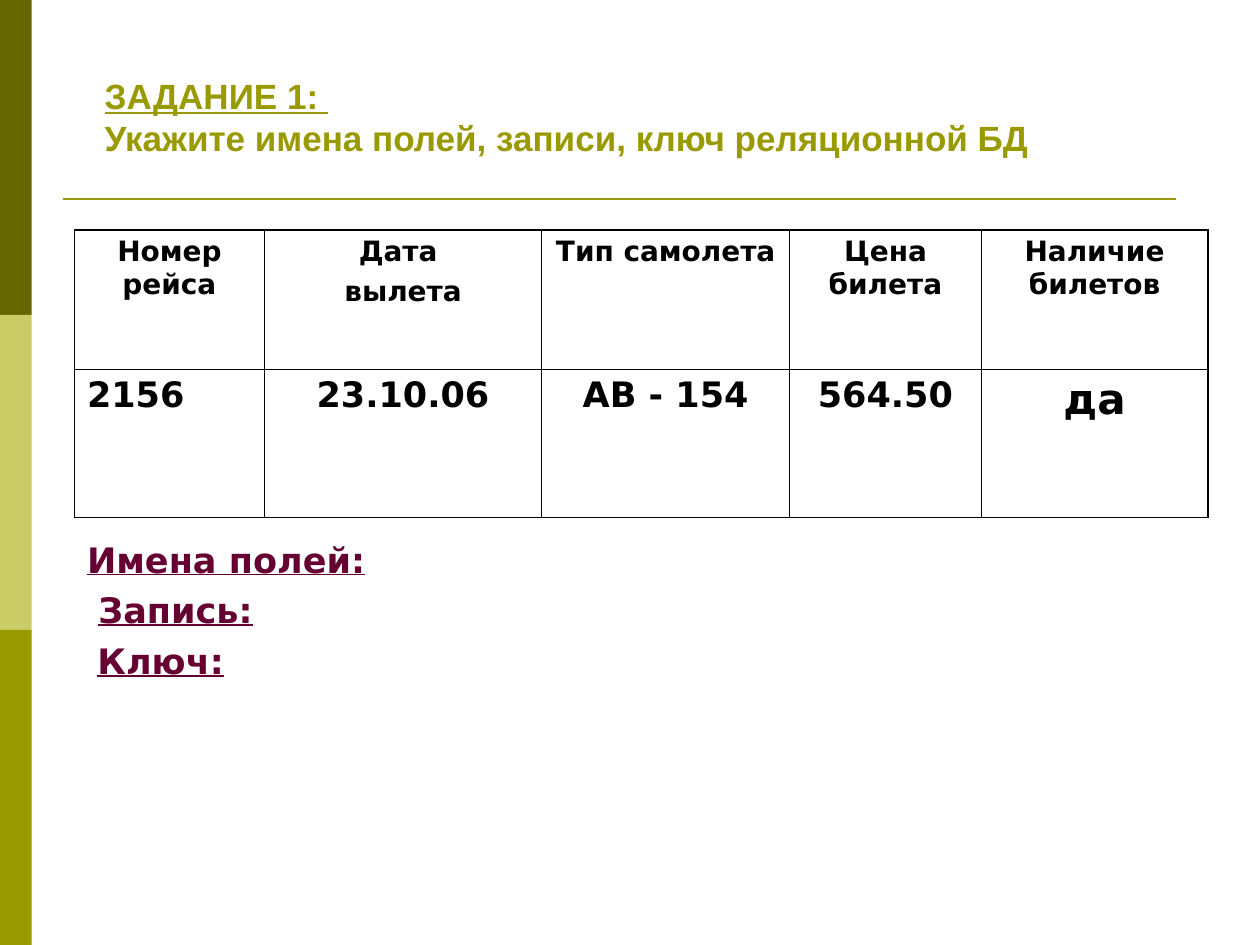
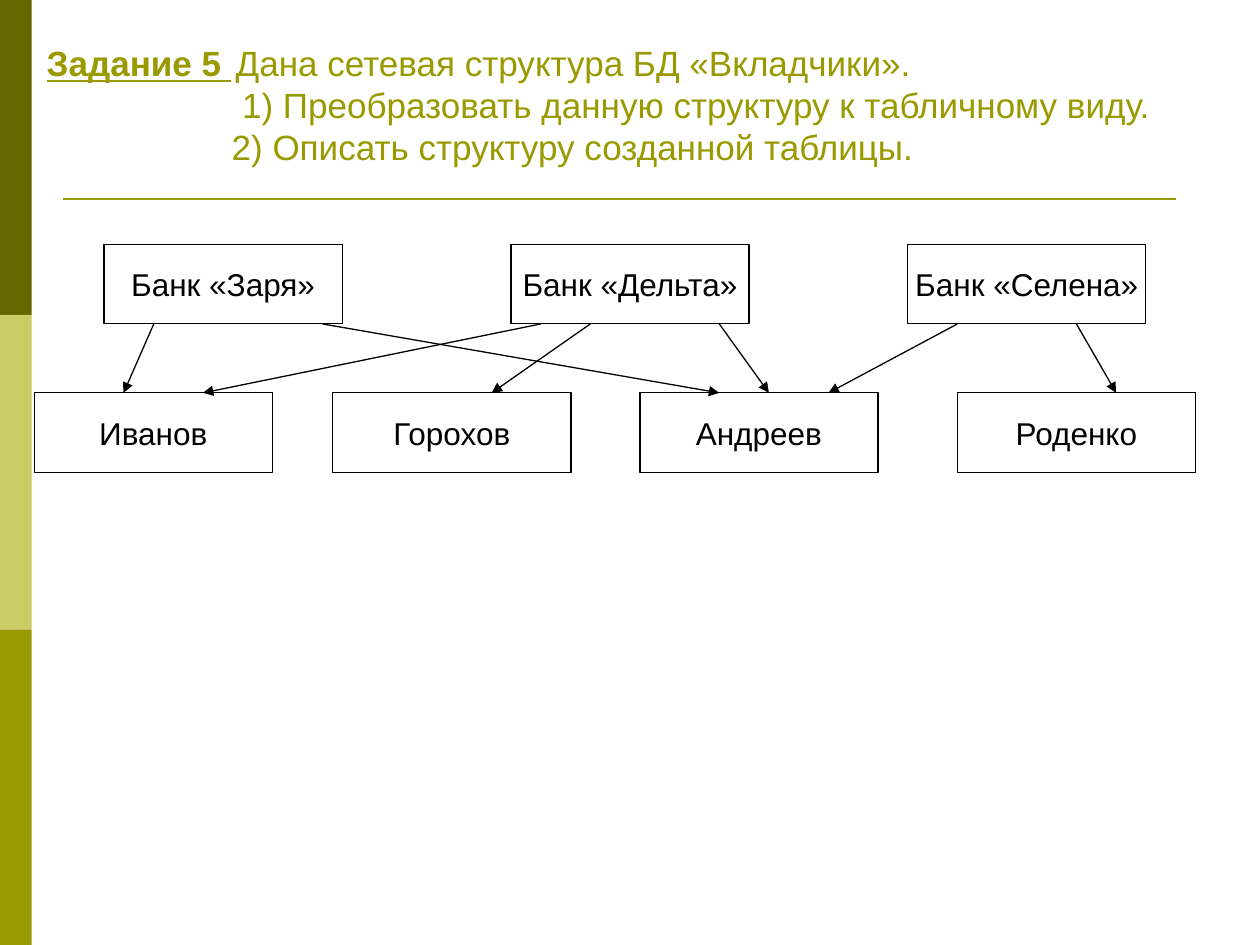
from lxml.etree import SubElement
from pptx import Presentation
from pptx.dml.color import RGBColor
from pptx.enum.shapes import MSO_CONNECTOR as Connector, MSO_SHAPE as Preset
from pptx.enum.text import MSO_ANCHOR as Anchor, MSO_AUTO_SIZE as AutoSize, PP_ALIGN as Align
from pptx.oxml.ns import qn
from pptx.util import Cm, Pt

DARK_OLIVE = RGBColor(0x66, 0x66, 0x00)
PALE_OLIVE = RGBColor(0xCC, 0xCC, 0x66)
OLIVE = RGBColor(0x99, 0x99, 0x00)
PLUM = RGBColor(0x66, 0x00, 0x33)
BLACK = RGBColor(0, 0, 0)
WHITE = RGBColor(255, 255, 255)
TITLE_FONT = "Arial"
BODY_FONT = "DejaVu Sans"

BAND_COLORS = [DARK_OLIVE, PALE_OLIVE, OLIVE]
BAND_WIDTH, BAND_HEIGHT = 0.64, 6.35

FIELDS_TITLE = [
    ("ЗАДАНИЕ 1: ", "", 0),
    ("", "Укажите имена полей, записи, ключ реляционной БД", 0),
]
NETWORK_TITLE = [
    ("Задание 5 ", "\tДана сетевая структура БД «Вкладчики».", 0),
    ("", "1) Преобразовать данную структуру к табличному виду.", 3.94),
    ("", "2) Описать структуру созданной таблицы.", 3.73),
]
TITLE_TAB = 4.31

FLIGHTS = [
    ["Номер рейса", "Дата \nвылета", "Тип самолета", "Цена билета", "Наличие билетов"],
    ["2156", "23.10.06", "АВ - 154", "564.50", "да"],
]
TEXT_SIZES = [[16] * 5, [20, 20, 20, 20, 24]]
COLUMN_WIDTHS = [3.83, 5.59, 5.0, 3.86, 4.57]
ROW_HEIGHTS = [2.81, 2.99]
QUESTIONS = [("Имена полей:", 0), ("Запись:", 0.23), ("Ключ:", 0.21)]

BOX_WIDTH, BOX_HEIGHT = 4.8, 1.6
BANK_TOP, CLIENT_TOP = 4.93, 7.92
BANKS = {"Банк «Заря»": 2.1, "Банк «Дельта»": 10.3, "Банк «Селена»": 18.3}
CLIENTS = {"Иванов": 0.69, "Горохов": 6.71, "Андреев": 12.9, "Роденко": 19.3}
DEPOSITS = [
    ("Банк «Заря»", 1.0, "Иванов", 1.8),
    ("Банк «Заря»", 4.4, "Андреев", 1.6),
    ("Банк «Дельта»", 0.6, "Иванов", 3.4),
    ("Банк «Дельта»", 1.6, "Горохов", 3.2),
    ("Банк «Дельта»", 4.2, "Андреев", 2.6),
    ("Банк «Селена»", 1.0, "Андреев", 3.8),
    ("Банк «Селена»", 3.4, "Роденко", 3.2),
]


def format_font(font, name, size, color, bold=False, underline=False):
    font.name = name
    font.size = Pt(size)
    font.color.rgb = color
    font.bold = bold
    font.underline = underline


def place(shape, left, top, width, height):
    shape.left, shape.top = Cm(left), Cm(top)
    shape.width, shape.height = Cm(width), Cm(height)


def add_box(page, left, top, width, height, fill):
    box = page.shapes.add_shape(Preset.RECTANGLE, Cm(left), Cm(top), Cm(width), Cm(height))
    box.shadow.inherit = False
    box.fill.solid()
    box.fill.fore_color.rgb = fill
    box.line.fill.background()
    return box


def add_line(page, start, end, color, weight):
    line = page.shapes.add_connector(Connector.STRAIGHT, *map(Cm, start + end))
    line.line.color.rgb = color
    line.line.width = Pt(weight)
    SubElement(line.element.spPr, qn("a:effectLst"))
    return line


def decorate_master(deck, page):
    parts = [
        add_box(page, 0, row * BAND_HEIGHT, BAND_WIDTH, BAND_HEIGHT, color)
        for row, color in enumerate(BAND_COLORS)
    ]
    parts.append(add_line(page, (1.27, 4.01), (23.7, 4.01), OLIVE, 1.5))
    for number, part in enumerate(parts, 101):
        part.element.xpath(".//p:cNvPr")[0].set("id", str(number))
        deck.slide_master.shapes.element.append(part.element)


def fill_title(page, lines, area, anchor, bold, margin=0.25):
    title = page.shapes.title
    place(title, *area)
    frame = title.text_frame
    frame.auto_size = AutoSize.NONE
    frame.vertical_anchor = anchor
    frame.margin_left = Cm(margin)
    frame.text = "\n".join(heading for heading, _, _ in lines)
    for para, (_, rest, indent) in zip(frame.paragraphs, lines):
        para.alignment = Align.LEFT
        props = para._p.get_or_add_pPr()
        props.set("marL", str(Cm(indent)))
        props.set("indent", "0")
        if "\t" in rest:
            tabs = SubElement(props, qn("a:tabLst"))
            SubElement(tabs, qn("a:tab"), pos=str(Cm(TITLE_TAB)), algn="l")
        for span in para.runs:
            format_font(span.font, TITLE_FONT, 20, OLIVE, True, True)
        if rest:
            span = para.add_run()
            span.text = rest
            format_font(span.font, TITLE_FONT, 20, OLIVE, bold)


def set_borders(cell, widths):
    props = cell._tc.get_or_add_tcPr()
    for position, (side, width) in enumerate(widths.items()):
        line = props.makeelement(qn("a:" + side), {"w": str(Pt(width))})
        fill = SubElement(line, qn("a:solidFill"))
        SubElement(fill, qn("a:srgbClr"), val=str(BLACK))
        props.insert(position, line)


def add_flights(page):
    rows, columns = len(ROW_HEIGHTS), len(COLUMN_WIDTHS)
    table = page.shapes.add_table(
        rows, columns, Cm(1.5), Cm(4.63), Cm(sum(COLUMN_WIDTHS)), Cm(sum(ROW_HEIGHTS))
    ).table
    table.first_row = table.horz_banding = False
    for column, width in zip(table.columns, COLUMN_WIDTHS):
        column.width = Cm(width)
    for r, height in enumerate(ROW_HEIGHTS):
        table.rows[r].height = Cm(height)
        for c in range(columns):
            cell = table.cell(r, c)
            cell.fill.solid()
            cell.fill.fore_color.rgb = WHITE
            outer = {"lnL": c == 0, "lnR": c == columns - 1, "lnT": r == 0, "lnB": r == rows - 1}
            set_borders(cell, {side: 1.08 if edge else 0.45 for side, edge in outer.items()})
            size = TEXT_SIZES[r][c]
            cell.text_frame.text = FLIGHTS[r][c]
            for para in cell.text_frame.paragraphs:
                para.alignment = Align.LEFT if (r, c) == (1, 0) else Align.CENTER
                para.space_before = Pt(size / 4)
                for span in para.runs:
                    format_font(span.font, BODY_FONT, size, BLACK, True)


def fill_questions(page):
    body = page.placeholders[1]
    place(body, 1.5, 10.72, 25.4, 7.57)
    frame = body.text_frame
    frame.auto_size = AutoSize.NONE
    frame.text = "\n".join(question for question, _ in QUESTIONS)
    for para, (_, indent) in zip(frame.paragraphs, QUESTIONS):
        para.space_before = Pt(5)
        props = para._p.get_or_add_pPr()
        props.set("marL", str(Cm(indent)))
        props.set("indent", "0")
        SubElement(props, qn("a:buNone"))
        format_font(para.runs[0].font, BODY_FONT, 20, PLUM, True, True)


def add_node(page, name, left, top):
    box = add_box(page, left, top, BOX_WIDTH, BOX_HEIGHT, WHITE)
    box.line.color.rgb = BLACK
    box.line.width = Pt(0.75)
    frame = box.text_frame
    frame.text = name
    frame.word_wrap = False
    frame.vertical_anchor = Anchor.MIDDLE
    frame.margin_left = frame.margin_right = frame.margin_top = frame.margin_bottom = 0
    para = frame.paragraphs[0]
    para.alignment = Align.CENTER
    format_font(para.runs[0].font, TITLE_FONT, 18, BLACK)


def add_network(page):
    for nodes, top in ((BANKS, BANK_TOP), (CLIENTS, CLIENT_TOP)):
        for name, left in nodes.items():
            add_node(page, name, left, top)
    for bank, bank_offset, client, client_offset in DEPOSITS:
        start = (BANKS[bank] + bank_offset, BANK_TOP + BOX_HEIGHT)
        end = (CLIENTS[client] + client_offset, CLIENT_TOP)
        arrow = add_line(page, start, end, BLACK, 0.75)
        SubElement(arrow.line._get_or_add_ln(), qn("a:tailEnd"), type="triangle")


def main():
    deck = Presentation()
    deck.slide_width, deck.slide_height = Cm(25.4), Cm(19.05)

    fields_page = deck.slides.add_slide(deck.slide_layouts[1])
    decorate_master(deck, fields_page)
    fill_title(fields_page, FIELDS_TITLE, (0, 0.76, 22.86, 3.18), Anchor.MIDDLE, True, 2.11)
    add_flights(fields_page)
    fill_questions(fields_page)

    network_page = deck.slides.add_slide(deck.slide_layouts[5])
    fill_title(network_page, NETWORK_TITLE, (0.69, 0.13, 24.2, 3.38), Anchor.BOTTOM, False)
    add_network(network_page)

    deck.save("out.pptx")


if __name__ == "__main__":
    main()
